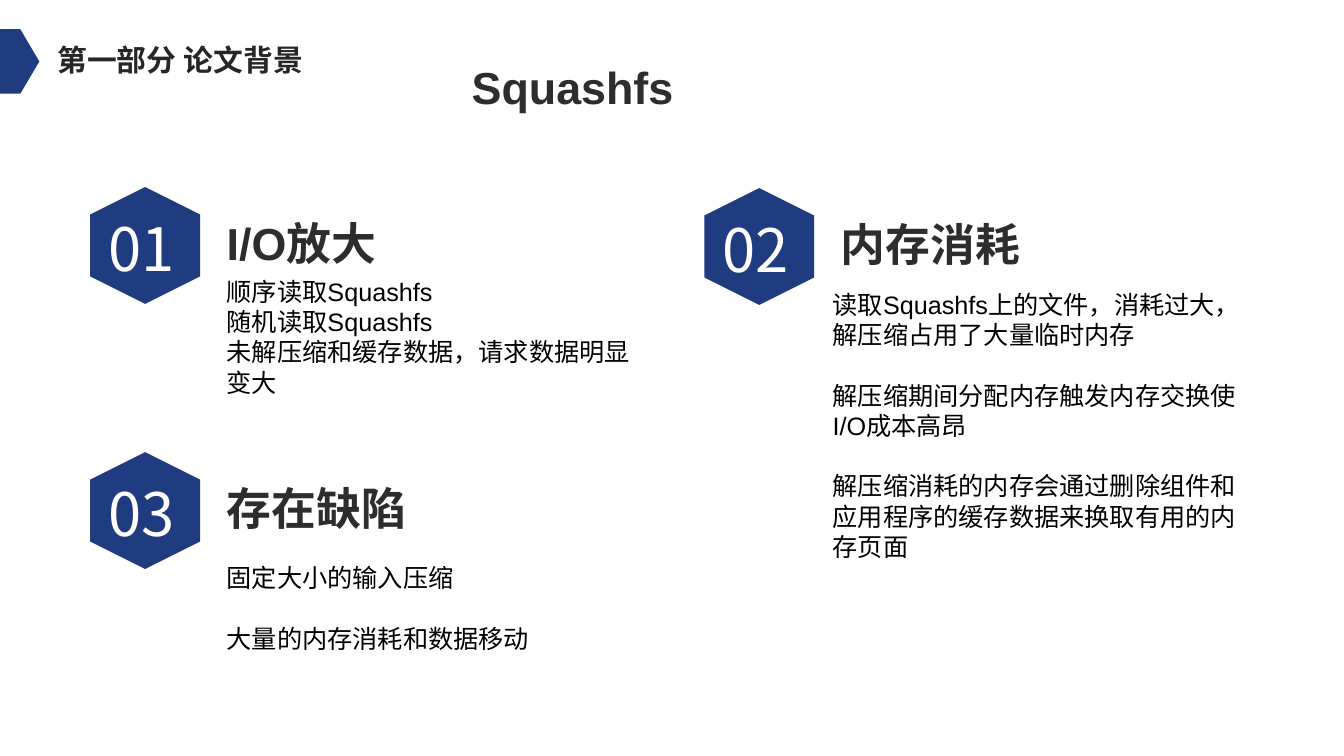
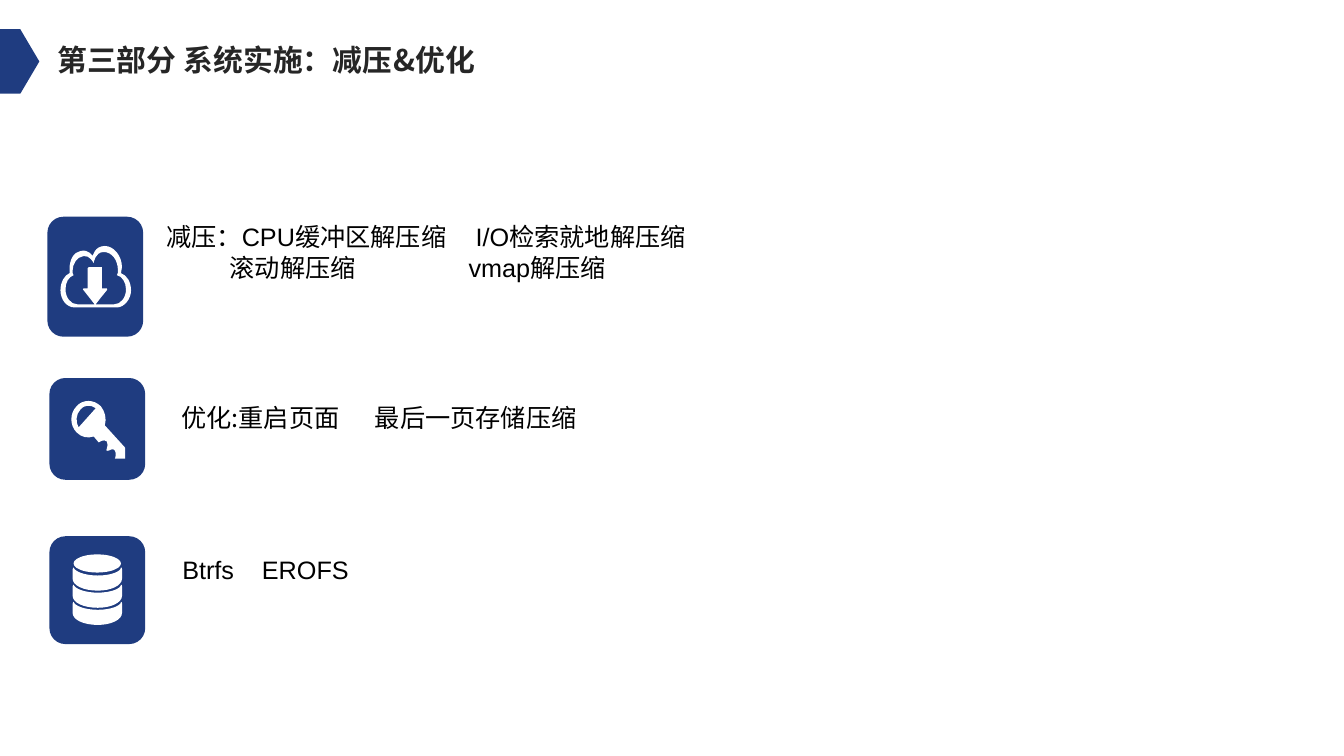
from itertools import chain
from lxml.etree import Element, SubElement
from pptx import Presentation
from pptx.dml.color import RGBColor
from pptx.enum.shapes import MSO_SHAPE
from pptx.oxml.ns import qn
from pptx.util import Inches, Pt

COLORS = {"navy": "1F3C80", "white": "FFFFFF", "title": "262626", "heading": "2D2D2D", "body": "000000"}
LATIN, CHINESE = "Arial", "Noto Sans CJK SC"
LINE = 1.2

CLOUD = [
    ((1.2, 2.71), [
        (1.2, 2.69, 1.21, 2.67, 1.21, 2.65), (1.21, 2.54, 1.13, 2.44, 1.04, 2.44),
        (0.94, 2.44, 0.92, 2.54, 0.92, 2.54), (0.92, 2.54, 0.88, 2.47, 0.8, 2.49),
        (0.73, 2.5, 0.69, 2.58, 0.69, 2.67), (0.69, 2.68, 0.69, 2.7, 0.69, 2.71),
        (0.64, 2.73, 0.6, 2.8, 0.6, 2.88), (0.6, 2.97, 0.66, 3.05, 0.74, 3.05),
        (1.16, 3.05), (1.23, 3.05, 1.3, 2.97, 1.3, 2.88), (1.3, 2.8, 1.26, 2.73, 1.2, 2.71)]),
    ((1.13, 3.02), [
        (0.95, 3.02), (0.96, 3, 1.06, 2.88, 1.06, 2.88), (1.06, 2.88, 1.07, 2.86, 1.06, 2.86),
        (1.01, 2.86), (1.01, 2.65), (0.88, 2.65), (0.87, 2.65, 0.87, 2.66, 0.87, 2.66),
        (0.87, 2.86), (0.83, 2.86), (0.81, 2.86, 0.83, 2.88, 0.83, 2.88), (0.94, 3.02),
        (0.77, 3.02), (0.7, 3.02, 0.65, 2.95, 0.65, 2.87), (0.65, 2.8, 0.68, 2.75, 0.73, 2.73),
        (0.72, 2.72, 0.72, 2.7, 0.72, 2.69), (0.72, 2.62, 0.76, 2.55, 0.83, 2.54),
        (0.89, 2.53, 0.93, 2.61, 0.93, 2.61), (0.93, 2.61, 0.94, 2.5, 1.03, 2.5),
        (1.11, 2.5, 1.17, 2.58, 1.17, 2.68), (1.17, 2.7, 1.17, 2.72, 1.16, 2.73),
        (1.21, 2.74, 1.25, 2.8, 1.25, 2.87), (1.25, 2.95, 1.2, 3.02, 1.13, 3.02)]),
]
KEY = [
    ((0.76, 4.03), [
        (0.69, 4.1, 0.69, 4.22, 0.76, 4.29), (0.81, 4.34, 0.87, 4.35, 0.93, 4.33), (0.98, 4.39),
        (0.98, 4.39, 1.03, 4.35, 1.06, 4.38), (1.08, 4.4, 1.06, 4.43, 1.06, 4.45),
        (1.05, 4.46, 1.05, 4.48, 1.08, 4.47), (1.09, 4.47, 1.12, 4.44, 1.14, 4.47),
        (1.16, 4.5, 1.14, 4.55, 1.14, 4.55), (1.24, 4.55), (1.24, 4.44), (1.04, 4.22),
        (1.06, 4.15, 1.04, 4.08, 1, 4.03), (0.93, 3.96, 0.82, 3.96, 0.76, 4.03)]),
    ((0.78, 4.24), [
        (0.75, 4.19, 0.75, 4.11, 0.8, 4.06), (0.83, 4.02, 0.9, 4.01, 0.95, 4.05), (0.78, 4.24)]),
]
DRUM_BAND = [
    ((1.2, 5.63), [
        (1.2, 5.67, 1.1, 5.71, 0.97, 5.71), (0.84, 5.71, 0.74, 5.67, 0.73, 5.63),
        (0.73, 5.63, 0.72, 5.64, 0.72, 5.65), (0.72, 5.74), (0.72, 5.81, 0.83, 5.86, 0.97, 5.86),
        (1.1, 5.86, 1.21, 5.81, 1.21, 5.74), (1.21, 5.65), (1.21, 5.64, 1.21, 5.63, 1.2, 5.63)]),
]


def bend(shape, segments, down):
    edges = list(shape._element.iter(qn("a:lnTo")))
    for edge, segment in zip(edges, segments):
        if len(segment) == 2:
            continue
        edge.tag = qn("a:cubicBezTo")
        for index in range(2):
            x, y = segment[2 * index:2 * index + 2]
            control = Element(qn("a:pt"), x=str(Inches(x) - shape.left), y=str(Inches(y + down) - shape.top))
            edge.insert(index, control)


def write(para, text, size=18, color="body", bold=False, font=LATIN, tabs=(), before=0):
    properties = para._p.get_or_add_pPr()
    para.line_spacing = Pt(round(size * LINE, 1))
    if before:
        para.space_before = Pt(before)
    if tabs:
        stops = SubElement(properties, qn("a:tabLst"))
        for tab in tabs:
            SubElement(stops, qn("a:tab"), pos=str(Inches(tab)), algn="l")
    span = para.add_run()
    span.text = text
    span.font.size = Pt(size)
    span.font.bold = bold
    span.font.name = font
    span.font.color.rgb = RGBColor.from_string(COLORS[color])
    SubElement(span._r.get_or_add_rPr(), qn("a:ea"), typeface=CHINESE)


class Deck:
    """Hold the shared style and the current slide."""

    def __init__(self):
        self.deck = Presentation()
        self.deck.slide_width, self.deck.slide_height = Inches(13.33), Inches(7.5)
        self.page = None

    def add_page(self, title):
        self.page = self.deck.slides.add_slide(self.deck.slide_layouts[6])
        self.shape(MSO_SHAPE.PENTAGON, 0, 0.29, 0.39, 0.64, adjustments=[0.484])
        self.text(0.47, 0.36, 4.46, 0.46, [title], size=21.33, color="title", bold=True, font=CHINESE)

    def paint(self, shape, color):
        shape.shadow.inherit = False
        shape.fill.solid()
        shape.fill.fore_color.rgb = RGBColor.from_string(COLORS[color])
        shape.line.fill.background()

    def shape(self, kind, left, top, width, height, color="navy", adjustments=(), rotation=0):
        shape = self.page.shapes.add_shape(kind, Inches(left), Inches(top), Inches(width), Inches(height))
        for index, value in enumerate(adjustments):
            shape.adjustments[index] = value
        shape.rotation = rotation
        self.paint(shape, color)

    def outline(self, contours, down=0):
        builder = None
        for start, segments in contours:
            points = [(Inches(x), Inches(y + down)) for x, y in [start] + [part[-2:] for part in segments]]
            if builder is None:
                builder = self.page.shapes.build_freeform(*points[0], scale=1.0)
            else:
                builder.move_to(*points[0])
            builder.add_line_segments(points[1:], close=True)
        shape = builder.convert_to_shape()
        bend(shape, chain.from_iterable(segments for _, segments in contours), down)
        self.paint(shape, "white")

    def text(self, left, top, width, height, lines, before=0, tabs=(), **style):
        box = self.page.shapes.add_textbox(Inches(left), Inches(top), Inches(width), Inches(height))
        frame = box.text_frame
        frame.word_wrap = True
        for index, line in enumerate(lines):
            para = frame.add_paragraph() if index else frame.paragraphs[0]
            write(para, line, before=before if index else 0,
                  tabs=tabs[index] if tabs else (), **style)

    def heading(self, left, top, text):
        self.text(left, top, 2.95, 0.64, [text], size=32, color="heading", bold=True)

    def topic(self, left, top, number, heading):
        self.shape(MSO_SHAPE.HEXAGON, left, top, 1.16, 1.09, rotation=270)
        self.text(left + 0.12, top + 0.16, 0.9, 0.82, [number], size=42.67, color="white", font=CHINESE)
        self.heading(left + 1.29, top + 0.2, heading)

    def tile(self, left, top, height):
        self.shape(MSO_SHAPE.ROUNDED_RECTANGLE, left, top, 0.95, height)


def build_background(deck):
    deck.add_page("第一部分 论文背景")
    deck.heading(4.58, 0.54, "Squashfs")
    deck.topic(0.86, 1.89, "01", "I/O放大")
    deck.text(2.15, 2.69, 4.44, 1.31,
              ["顺序读取Squashfs", "随机读取Squashfs", "未解压缩和缓存数据，请求数据明显变大"])
    deck.topic(6.95, 1.9, "02", "内存消耗")
    deck.text(8.16, 2.82, 4.3, 4.04,
              ["读取Squashfs上的文件，消耗过大，解压缩占用了大量临时内存",
               "解压缩期间分配内存触发内存交换使I/O成本高昂",
               "解压缩消耗的内存会通过删除组件和应用程序的缓存数据来换取有用的内存页面"], before=21.6)
    deck.topic(0.86, 4.52, "03", "存在缺陷")
    deck.text(2.15, 5.53, 4.3, 1.01, ["固定大小的输入压缩", "大量的内存消耗和数据移动"], before=21.6)


def build_implementation(deck):
    deck.add_page("第三部分 系统实施：减压&优化")
    deck.tile(0.47, 2.15, 1.19)
    deck.outline(CLOUD)
    deck.text(1.55, 2.15, 5.5, 0.71,
              ["减压：CPU缓冲区解压缩\tI/O检索就地解压缩", "\t滚动解压缩\tvmap解压缩"],
              tabs=[[3.07], [0.63, 3]])
    deck.tile(0.49, 3.75, 1.01)
    deck.outline(KEY)
    deck.text(1.7, 3.94, 5.95, 0.71, ["优化:重启页面\t最后一页存储压缩"], tabs=[[1.92]], font=CHINESE)
    deck.tile(0.49, 5.32, 1.07)
    for band in range(3):
        deck.outline(DRUM_BAND, down=band * 0.17)
    deck.shape(MSO_SHAPE.OVAL, 0.73, 5.5, 0.47, 0.18, "white")
    deck.text(1.71, 5.45, 5.5, 0.4, ["Btrfs\tEROFS"], tabs=[[0.79]])


def main():
    deck = Deck()
    build_background(deck)
    build_implementation(deck)
    deck.deck.save("out.pptx")


if __name__ == "__main__":
    main()
